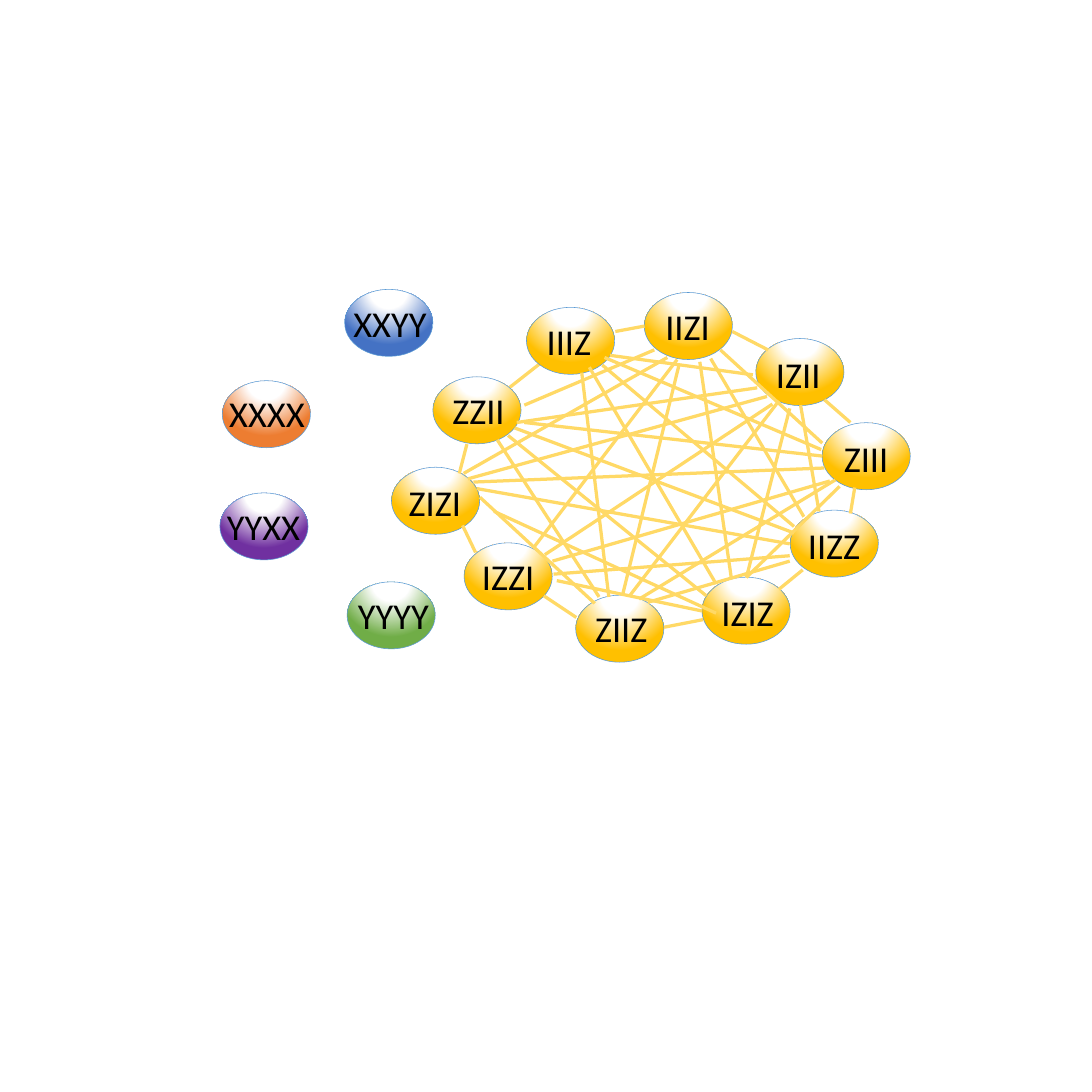
"""Draw a graph of Pauli strings in which the Z-type terms are linked to each other."""
from pptx import Presentation
from pptx.dml.color import RGBColor
from pptx.enum.shapes import MSO_CONNECTOR as Line, MSO_SHAPE as Preset
from pptx.enum.text import MSO_AUTO_SIZE as AutoSize
from pptx.oxml import parse_xml
from pptx.oxml.ns import nsdecls
from pptx.util import Pt

COLORS = {
    "black": "000000", "white": "FFFFFF", "outline": "5B9BD5", "link": "FFD966",
    "orange": "ED7D31", "blue": "4472C4", "purple": "7030A0", "green": "70AD47",
    "gold": "FFC000",
}
NODE_SIZE = (81.4, 61.9)
LABEL_SIZE = (92.2, 48.2)

# Each term: text, colour, node left and top, label left and top.
SINGLE_TERMS = [
    ("XXXX", "orange", (205.2, 351.4), (204.5, 357.8)),
    ("XXYY", "blue", (318.2, 267.1), (319, 274.3)),
    ("YYXX", "purple", (203, 455), (202.3, 462.2)),
    ("YYYY", "green", (320.4, 537.1), (323.3, 543.6)),
]
LINKED_TERMS = [
    ("ZZII", "gold", (399.6, 347.8), (410.4, 355)),
    ("IIIZ", "gold", (486, 283.7), (497.5, 290.9)),
    ("IIZI", "gold", (594.7, 270), (607, 277.2)),
    ("IZII", "gold", (697.7, 312.5), (709.2, 321.1)),
    ("IIZZ", "gold", (729.4, 470.9), (738.7, 479.5)),
    ("ZIZI", "gold", (361.4, 431.3), (370.1, 439.9)),
    ("IZIZ", "gold", (648, 532.8), (658.8, 541.4)),
    ("IZZI", "gold", (428.4, 501.1), (437.8, 508.3)),
    ("ZIII", "gold", (758.9, 390.2), (771.8, 398.9)),
    ("ZIIZ", "gold", (531.4, 549.4), (542.2, 555.8)),
]

BACK_LINK = (498, 336, 470, 358)
LINKS = [
    (595, 301, 568, 306), (709, 323, 676, 306), (785, 390, 761, 369),
    (789, 450, 785, 474), (649, 572, 613, 579), (741, 526, 719, 544),
    (502, 550, 532, 570), (652, 550, 469, 402), (699, 358, 477, 390),
    (604, 323, 484, 374), (431, 410, 424, 437), (439, 510, 427, 485),
    (759, 421, 484, 390), (733, 492, 475, 395), (761, 432, 437, 445),
    (549, 557, 443, 459), (648, 564, 514, 536), (729, 377, 689, 533),
    (553, 551, 459, 406), (661, 566, 456, 472), (729, 502, 440, 451),
    (708, 366, 432, 442), (616, 330, 428, 437), (646, 334, 675, 533),
    (625, 332, 493, 505), (713, 373, 503, 512), (766, 444, 510, 518),
    (729, 513, 511, 530), (775, 449, 689, 533), (537, 344, 562, 551),
    (627, 336, 575, 548), (719, 370, 582, 549), (771, 443, 590, 553),
    (729, 518, 598, 556), (556, 337, 733, 486), (656, 331, 742, 477),
    (739, 374, 756, 472), (544, 339, 661, 539), (563, 328, 695, 346),
    (558, 330, 758, 415), (665, 323, 759, 409),
]


def color(name):
    return RGBColor.from_string(COLORS[name])


def points(*lengths):
    return [Pt(length) for length in lengths]


def glossy_fill(shape, name):
    stops = "".join(
        f'<a:gs pos="{position}"><a:srgbClr val="{COLORS[stop]}"/></a:gs>'
        for position, stop in ((0, "white"), (35000, "white"), (100000, name))
    )
    gradient = parse_xml(
        f'<a:gradFill {nsdecls("a")} rotWithShape="1"><a:gsLst>{stops}</a:gsLst>'
        '<a:path path="circle">'
        '<a:fillToRect l="50000" t="-80000" r="50000" b="180000"/>'
        "</a:path></a:gradFill>"
    )
    shape.element.spPr.insert(2, gradient)


def add_node(page, corner, name):
    node = page.shapes.add_shape(Preset.OVAL, *points(*corner, *NODE_SIZE))
    node.shadow.inherit = False
    glossy_fill(node, name)
    node.line.color.rgb = color("outline")
    node.line.width = Pt(0.5)


def add_label(page, text, corner, size=33.6, font="Calibri", ink="black"):
    box = page.shapes.add_textbox(*points(*corner, *LABEL_SIZE))
    box.text_frame.word_wrap = True
    box.text_frame.auto_size = AutoSize.SHAPE_TO_FIT_TEXT
    span = box.text_frame.paragraphs[0].add_run()
    span.text = text
    span.font.name = font
    span.font.size = Pt(size)
    span.font.color.rgb = color(ink)


def add_link(page, ends):
    link = page.shapes.add_connector(Line.STRAIGHT, *points(*ends))
    link.line.color.rgb = color("link")
    link.line.width = Pt(3)
    link.element.spPr.append(parse_xml(f'<a:effectLst {nsdecls("a")}/>'))


def add_terms(page, terms):
    for _, name, corner, _ in terms:
        add_node(page, corner, name)
    for text, _, _, corner in terms:
        add_label(page, text, corner)


def main():
    deck = Presentation()
    deck.slide_width = deck.slide_height = Pt(1008)
    page = deck.slides.add_slide(deck.slide_layouts[6])
    add_link(page, BACK_LINK)
    add_terms(page, SINGLE_TERMS)
    add_terms(page, LINKED_TERMS)
    for ends in LINKS:
        add_link(page, ends)
    deck.save("out.pptx")


if __name__ == "__main__":
    main()
